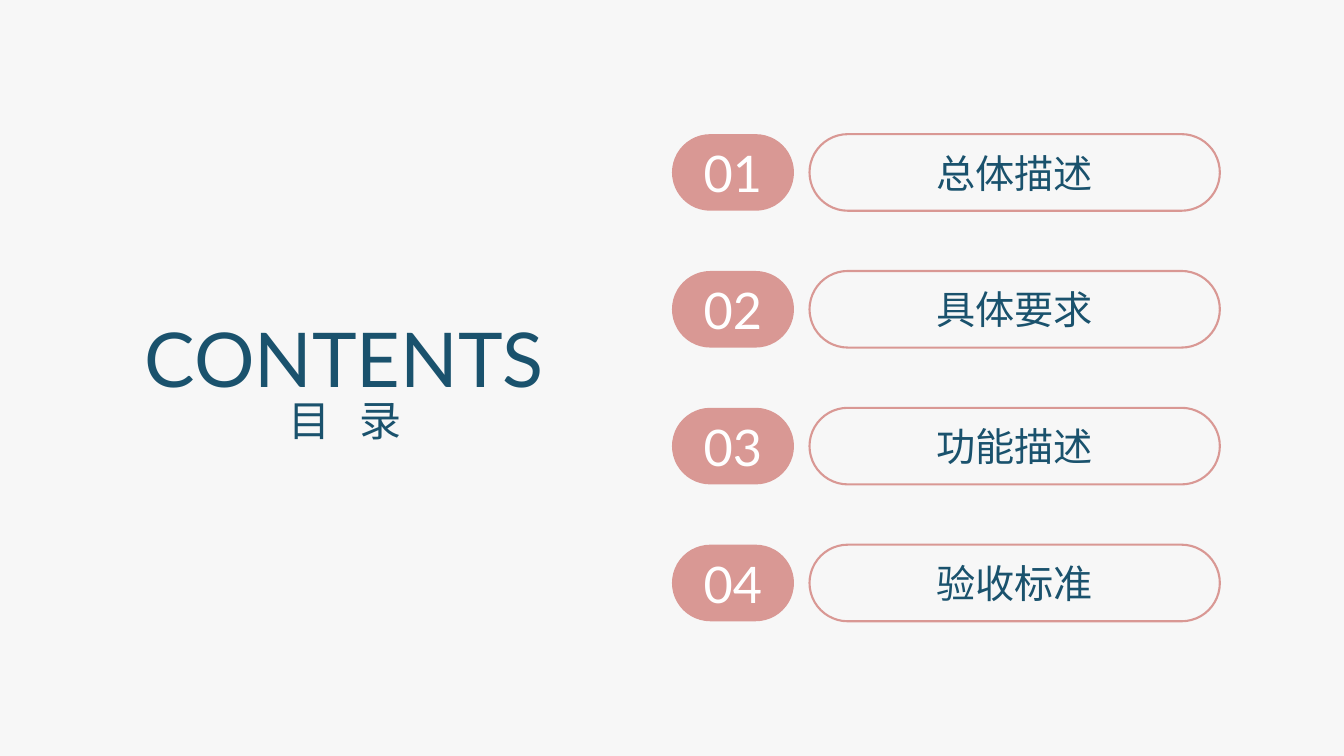
from pptx import Presentation
from pptx.dml.color import RGBColor
from pptx.enum.shapes import MSO_SHAPE
from pptx.enum.text import MSO_ANCHOR, MSO_AUTO_SIZE, PP_ALIGN
from pptx.util import Inches, Pt

NAVY, ROSE, WHITE, PAPER = "1A526D", "D99894", "FFFFFF", "F7F7F7"

deck = Presentation()
deck.slide_width, deck.slide_height = Inches(13.33), Inches(7.5)
column, row = deck.slide_width / 100, deck.slide_height / 100


def paint(color_format, hex_color):
    color_format.rgb = RGBColor.from_string(hex_color)


def typeset(part, size, hex_color, anchor):
    frame = part.text_frame
    frame.word_wrap = True
    frame.auto_size = MSO_AUTO_SIZE.NONE
    frame.vertical_anchor = anchor
    paragraph = frame.paragraphs[0]
    paragraph.alignment = PP_ALIGN.CENTER
    paragraph.space_before = Pt(0)
    paragraph.font.name = "Lato"
    paragraph.font.size = Pt(size)
    paint(paragraph.font.color, hex_color)


slide = deck.slides.add_slide(deck.slide_layouts[0])
background = slide.background.fill
background.solid()
paint(background.fore_color, PAPER)

heading, subheading = slide.placeholders
heading.text_frame.text = "CONTENTS"
for piece in ("目", " ", "录"):
    subheading.text_frame.paragraphs[0].add_run().text = piece
gap = subheading.text_frame.paragraphs[0].runs[1]
gap.font._element.set("spc", "1400")

for part, left, top, width, height, size in (
    (heading, 7.58, 40.53, 36.08, 13.47, 54),
    (subheading, 14.48, 51.47, 22.35, 8.13, 30),
):
    part.left, part.top = int(left * column), int(top * row)
    part.width, part.height = int(width * column), int(height * row)
    typeset(part, size, NAVY, MSO_ANCHOR.TOP)

chapters = ("总体描述", "具体要求", "功能描述", "验收标准")
for index, chapter in enumerate(chapters):
    top = (17.75 + 18.1 * index) * row
    for words, left, width, size, ink, filled in (
        (f"{index + 1:02}", 50, 9.08, 36, WHITE, True),
        (chapter, 60.23, 30.53, 28, NAVY, False),
    ):
        pill = slide.shapes.add_shape(
            MSO_SHAPE.ROUNDED_RECTANGLE,
            int(left * column), int(top), int(width * column), int(10.13 * row),
        )
        pill.adjustments[0] = 0.5
        pill.shadow.inherit = False
        if filled:
            pill.fill.solid()
            paint(pill.fill.fore_color, ROSE)
            pill.line.fill.background()
        else:
            pill.fill.background()
            paint(pill.line.color, ROSE)
            pill.line.width = Pt(1.5)
        pill.text_frame.text = words
        typeset(pill, size, ink, MSO_ANCHOR.MIDDLE)

deck.save("out.pptx")
